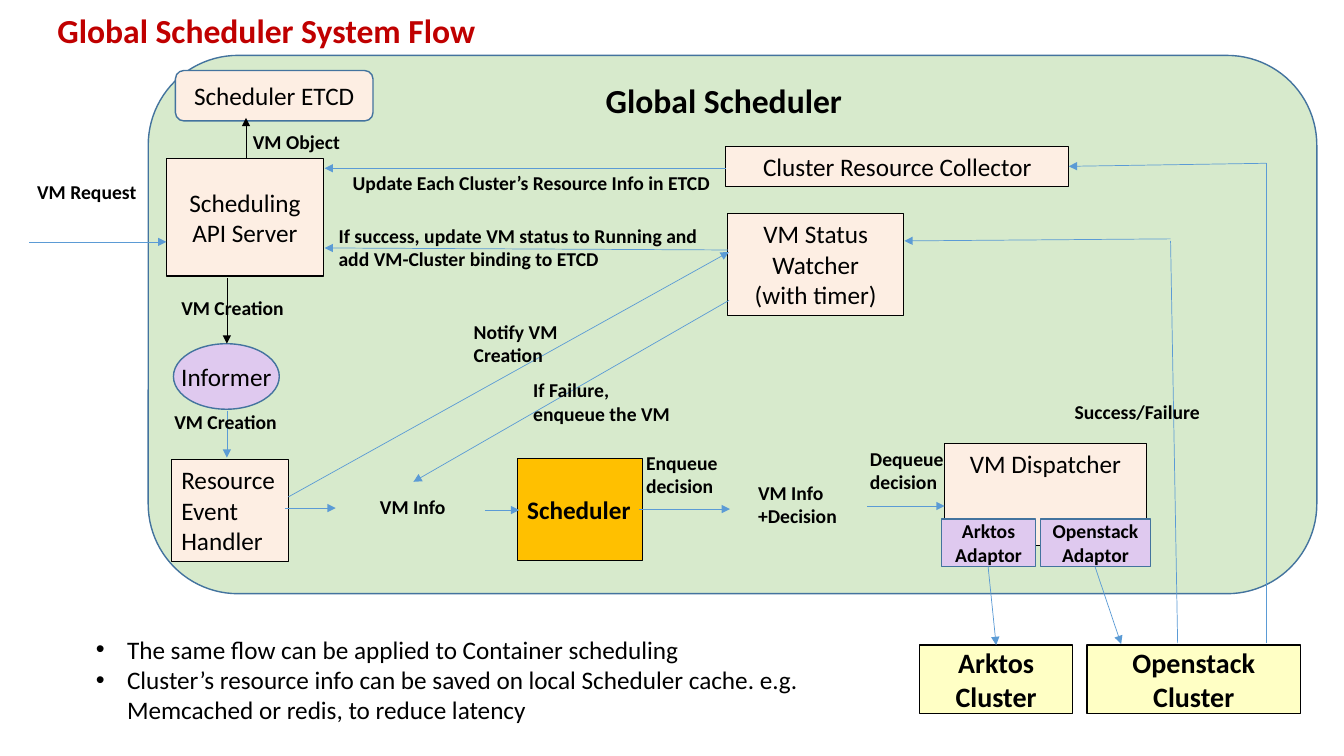
from pptx import Presentation
from pptx.dml.color import RGBColor
from pptx.enum.shapes import MSO_CONNECTOR, MSO_SHAPE as Preset
from pptx.enum.text import MSO_ANCHOR as Anchor, MSO_AUTO_SIZE, PP_ALIGN as Align
from pptx.oxml.ns import qn
from pptx.util import Pt
from lxml.etree import SubElement

PX = 9144  # EMU per px, 100 px to the inch
FONT = "Calibri"

BLACK = RGBColor(0x00, 0x00, 0x00)
RED = RGBColor(0xC0, 0x00, 0x00)
GREEN = RGBColor(0xD7, 0xEA, 0xCC)
PEACH = RGBColor(0xFD, 0xEE, 0xE3)
LILAC = RGBColor(0xDF, 0xC9, 0xEF)
GOLD = RGBColor(0xFF, 0xC0, 0x00)
YELLOW = RGBColor(0xFF, 0xFF, 0xC5)
NAVY = RGBColor(0x43, 0x73, 0x9E)
BLUE = RGBColor(0x5B, 0x9B, 0xD5)

TITLE = ("Global Scheduler System Flow", (47, 9, 1245, 102))
NOTES_BOX = (85, 624, 755, 101)
NOTES = [
    "The same flow can be applied to Container scheduling",
    "Cluster’s resource info can be saved on local Scheduler cache. e.g. "
    "Memcached or redis, to reduce latency",
]
NOTES_INDENT = 31

# Box styles: preset, fill, line colour, line width, anchor, alignment, size, bold
STYLES = {
    "panel": (Preset.ROUNDED_RECTANGLE, GREEN, NAVY, 1, Anchor.TOP, Align.CENTER, 24, True),
    "store": (Preset.ROUNDED_RECTANGLE, PEACH, NAVY, 1, Anchor.MIDDLE, Align.CENTER, 18, False),
    "server": (Preset.RECTANGLE, PEACH, BLACK, 1, Anchor.MIDDLE, Align.CENTER, 18, False),
    "informer": (Preset.OVAL, LILAC, NAVY, 1, Anchor.MIDDLE, Align.CENTER, 18, False),
    "handler": (Preset.RECTANGLE, PEACH, BLACK, 0.75, Anchor.TOP, Align.LEFT, 18, False),
    "service": (Preset.RECTANGLE, PEACH, BLACK, 0.75, Anchor.TOP, Align.CENTER, 18, False),
    "scheduler": (Preset.RECTANGLE, GOLD, BLACK, 0.75, Anchor.MIDDLE, Align.LEFT, 18, True),
    "adaptor": (Preset.RECTANGLE, LILAC, NAVY, 1, Anchor.MIDDLE, Align.CENTER, 14, True),
    "cluster": (Preset.RECTANGLE, YELLOW, BLACK, 1, Anchor.MIDDLE, Align.CENTER, 20, True),
}

# Style, text, (left, top, width, height)
BOXES = [
    ("panel", "", (147, 55, 1159, 534)),
    ("store", "Scheduler ETCD", (174, 70, 196, 50)),
    ("server", "Scheduling API Server", (165, 157, 156, 117)),
    ("informer", "Informer", (172, 341, 105, 65)),
    ("handler", "Resource Event Handler", (170, 456, 116, 101)),
    ("scheduler", "Scheduler", (513, 455, 124, 101)),
    ("service", "VM Dispatcher", (937, 440, 200, 101)),
    ("service", "VM Status Watcher\n(with timer)", (722, 212, 174, 101)),
    ("service", "Cluster Resource Collector", (720, 145, 340, 40)),
    ("adaptor", "Arktos Adaptor", (934, 515, 93, 47)),
    ("adaptor", "Openstack\nAdaptor", (1032, 515, 109, 47)),
    ("cluster", "Arktos\nCluster", (912, 640, 152, 68)),
    ("cluster", "Openstack Cluster", (1078, 640, 212, 68)),
]

# Colour, from, to, arrowhead at the end
LINES = [
    (BLACK, (244, 157), (244, 117), True),
    (BLACK, (225, 276), (225, 341), True),
    (BLUE, (225, 408), (225, 454), True),
    (BLUE, (29, 240), (165, 240), True),
    (BLUE, (283, 504), (333, 504), True),
    (BLUE, (481, 506), (515, 506), True),
    (BLUE, (634, 505), (724, 505), True),
    (BLUE, (860, 502), (937, 502), True),
    (BLUE, (286, 493), (723, 250), True),
    (BLUE, (723, 298), (410, 478), True),
    (BLUE, (722, 248), (322, 246), True),
    (BLUE, (720, 167), (322, 167), True),
    (BLUE, (980, 562), (988, 640), True),
    (BLUE, (1086, 562), (1112, 639), True),
    (BLUE, (1168, 638), (1161, 239), False),
    (BLUE, (1161, 237), (897, 239), True),
    (BLUE, (1256, 638), (1256, 162), False),
    (BLUE, (1256, 162), (1060, 165), True),
]

# Text, size, (left, top, width, height)
LABELS = [
    ("Global Scheduler", 24, (591, 74, 340, 50)),
    ("VM Request", 14, (27, 174, 156, 34)),
    ("VM Object", 14, (241, 124, 219, 34)),
    ("VM Creation", 14, (170, 289, 147, 34)),
    ("VM Creation", 14, (163, 402, 135, 34)),
    ("VM Info", 14, (367, 486, 131, 34)),
    ("VM Info\n+Decision", 14, (742, 472, 144, 57)),
    ("Enqueue decision", 14, (631, 442, 103, 57)),
    ("Dequeue decision", 14, (853, 438, 103, 57)),
    ("Success/Failure", 14, (1056, 392, 164, 34)),
    ("Update Each Cluster’s Resource Info in ETCD", 14, (340, 165, 406, 34)),
    ("If success, update VM status to Running and\nadd VM-Cluster binding to ETCD",
     14, (326, 217, 426, 57)),
    ("Notify VM Creation", 14, (460, 312, 135, 57)),
    ("If Failure, enqueue the VM", 14, (519, 370, 168, 57)),
]


def scaled(lengths):
    return [length * PX for length in lengths]


def place(shape, frame):
    for name, value in zip(("left", "top", "width", "height"), scaled(frame)):
        setattr(shape, name, value)


def write(shape, text, size, bold, color=BLACK, align=Align.LEFT, anchor=Anchor.TOP, wrap=True):
    text_frame = shape.text_frame
    text_frame.text = text
    text_frame.auto_size = MSO_AUTO_SIZE.NONE
    text_frame.word_wrap = wrap
    text_frame.vertical_anchor = anchor
    font_format = {"name": FONT, "size": Pt(size), "bold": bold}
    for paragraph in text_frame.paragraphs:
        paragraph.alignment = align
        for run in paragraph.runs:
            for name, value in font_format.items():
                setattr(run.font, name, value)
            run.font.color.rgb = color
    return text_frame


def add_box(slide, style, text, frame):
    preset, fill, line, width, anchor, align, size, bold = STYLES[style]
    shape = slide.shapes.add_shape(preset, *scaled(frame))
    shape.shadow.inherit = False
    shape.fill.solid()
    shape.fill.fore_color.rgb = fill
    shape.line.color.rgb = line
    shape.line.width = Pt(width)
    if text:
        write(shape, text, size, bold, align=align, anchor=anchor, wrap=preset != Preset.OVAL)


def add_line(slide, color, start, end, arrow):
    connector = slide.shapes.add_connector(MSO_CONNECTOR.STRAIGHT, *scaled(start + end))
    connector.line.color.rgb = color
    connector.line.width = Pt(0.5)
    properties = connector._element.spPr
    if arrow:
        SubElement(properties.find(qn("a:ln")), qn("a:tailEnd"), type="triangle")
    SubElement(properties, qn("a:effectLst"))


def main():
    presentation = Presentation()
    presentation.slide_width, presentation.slide_height = scaled((1333, 750))
    slide = presentation.slides.add_slide(presentation.slide_layouts[1])
    title, notes = slide.placeholders

    # Title
    text, frame = TITLE
    place(title, frame)
    write(title, text, 24, True, RED).paragraphs[0].line_spacing = 0.9

    # Bulleted remarks
    place(notes, NOTES_BOX)
    for paragraph in write(notes, "\n".join(NOTES), 18, False).paragraphs:
        paragraph.space_before = Pt(0)
        properties = paragraph._p.get_or_add_pPr()
        properties.set("marL", str(NOTES_INDENT * PX))
        properties.set("indent", str(-NOTES_INDENT * PX))
        SubElement(properties, qn("a:buChar"), char="•")

    # Components, then the flow between them, then its labels
    for box in BOXES:
        add_box(slide, *box)
    for line in LINES:
        add_line(slide, *line)
    for text, size, frame in LABELS:
        write(slide.shapes.add_textbox(*scaled(frame)), text, size, True)

    presentation.save("out.pptx")


if __name__ == "__main__":
    main()
